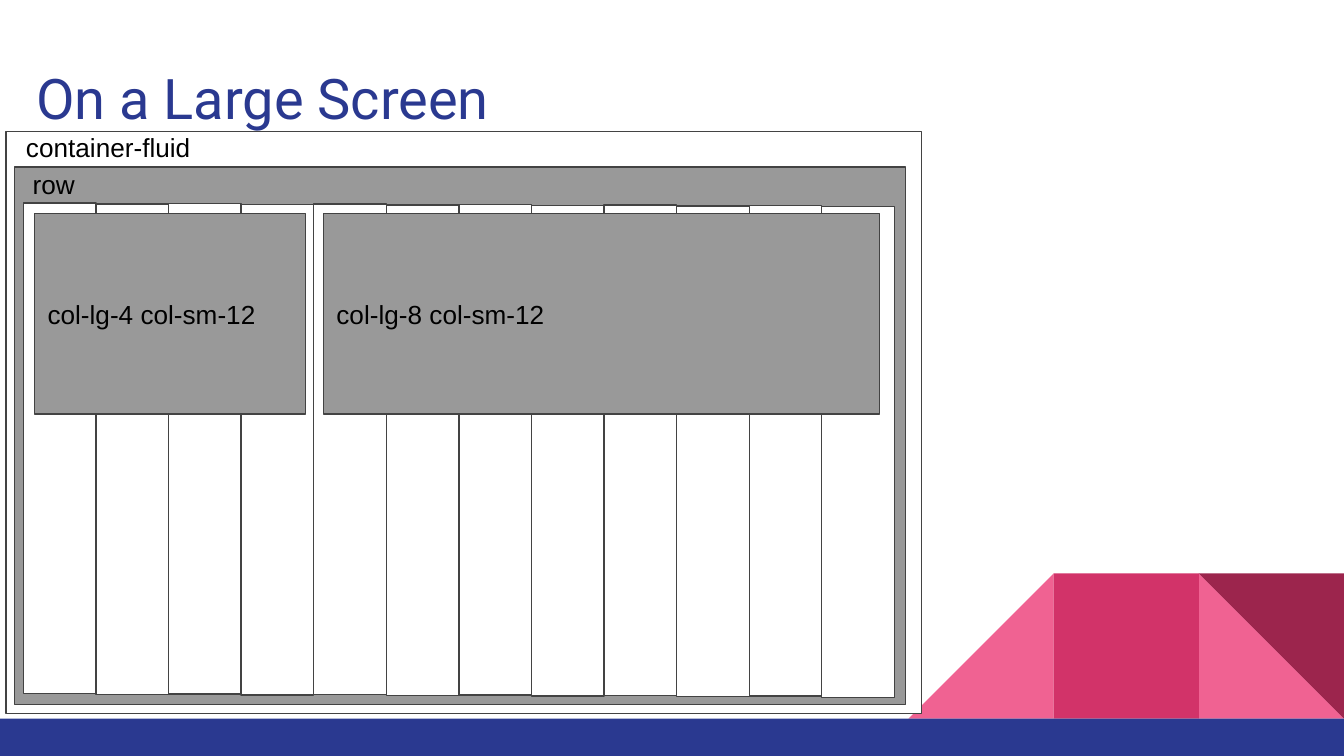
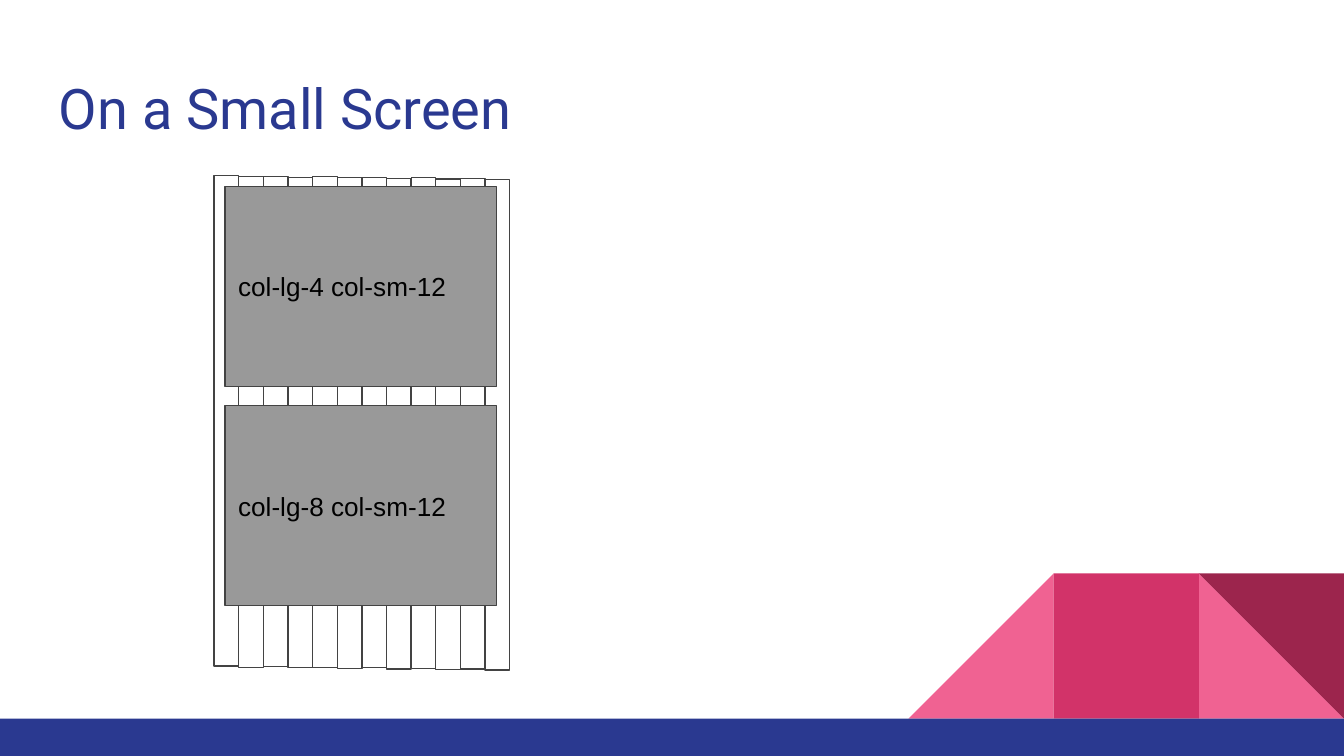
import collections

import pptx
import pptx.dml.color
import pptx.enum.shapes
import pptx.enum.text
import pptx.util

RGB = pptx.dml.color.RGBColor
SHAPE = pptx.enum.shapes.MSO_SHAPE
ANCHOR = pptx.enum.text.MSO_ANCHOR

NAVY = RGB(0x2A, 0x39, 0x90)
PINK = RGB(0xF0, 0x62, 0x92)
ROSE = RGB(0xD2, 0x33, 0x69)
WINE = RGB(0x9C, 0x25, 0x4D)
WHITE = RGB(0xFF, 0xFF, 0xFF)
GREY = RGB(0x99, 0x99, 0x99)
OUTLINE = RGB(0x43, 0x43, 0x43)
BLACK = RGB(0x00, 0x00, 0x00)

# The slide is a square grid of 100 columns by 56.25 rows
CELL = pptx.util.Inches(0.1)
COLUMNS, ROWS = 100, 56.25
BOOTSTRAP_COLUMNS = 12

INSET = CELL
FRAME_FORMAT = {
    "word_wrap": True,
    "margin_left": INSET,
    "margin_right": INSET,
    "margin_top": INSET,
    "margin_bottom": INSET,
}
TITLE_FONT = {"name": "Roboto", "size": pptx.util.Pt(30)}
LABEL_FONT = {"name": "Arial", "size": pptx.util.Pt(14)}


class Box(collections.namedtuple("Box", "left top width height")):
    """An area in grid cells."""

    def inner(self, dx, dy, width, height):
        return Box(self.left + dx, self.top + dy, width, height)

    def emu(self):
        return [round(length * CELL) for length in self]


def apply_format(target, values):
    for attribute, value in values.items():
        setattr(target, attribute, value)


def write(holder, words, font, color, anchor=ANCHOR.TOP):
    frame = holder.text_frame
    apply_format(frame, {**FRAME_FORMAT, "vertical_anchor": anchor})
    paragraph = frame.paragraphs[0]
    paragraph.alignment = pptx.enum.text.PP_ALIGN.LEFT
    run = paragraph.add_run()
    run.text = words
    apply_format(run.font, font)
    run.font.color.rgb = color


def add_text(slide, box, words, font, color):
    write(slide.shapes.add_textbox(*box.emu()), words, font, color)


def add_block(slide, box, fill, kind=SHAPE.RECTANGLE, outlined=True):
    block = slide.shapes.add_shape(kind, *box.emu())
    block.shadow.inherit = False
    block.fill.solid()
    block.fill.fore_color.rgb = fill
    if outlined:
        block.line.color.rgb = OUTLINE
        block.line.width = pptx.util.Pt(0.75)
    else:
        block.line.fill.background()
    return block


def draw_footer(slide, box):
    """Blue band with three squares of triangles standing on its right end."""
    side = 10.8
    left, middle, right = (
        box.inner(box.width - n * side, -side, side, side) for n in (3, 2, 1)
    )
    add_block(slide, right, PINK, SHAPE.RIGHT_TRIANGLE, False)
    slope = add_block(slide, left, PINK, SHAPE.RIGHT_TRIANGLE, False)
    slope.element.spPr.xfrm.set("flipH", "1")
    add_block(slide, middle, ROSE, outlined=False)
    corner = add_block(slide, right, WINE, SHAPE.RIGHT_TRIANGLE, False)
    corner.rotation = 180
    add_block(slide, box, NAVY, outlined=False)


def draw_columns(slide, box):
    """Twelve equal columns, each slightly lower, odd ones a bit more."""
    width = box.width / BOOTSTRAP_COLUMNS
    for n in range(BOOTSTRAP_COLUMNS):
        drift = 0.02 * n + 0.06 * (n % 2)
        add_block(slide, box.inner(n * width, drift, width, box.height), WHITE)


def draw_content(slide, box, words):
    content = add_block(slide, box, GREY)
    write(content, words, LABEL_FONT, BLACK, ANCHOR.MIDDLE)


def start_slide(deck, title, title_box):
    slide = deck.slides.add_slide(deck.slide_layouts[6])
    slide.background.fill.solid()
    slide.background.fill.fore_color.rgb = WHITE
    draw_footer(slide, Box(0, 53.47, COLUMNS, ROWS - 53.47))
    add_text(slide, title_box, title, TITLE_FONT, NAVY)
    return slide


def draw_large_screen(deck, box):
    slide = start_slide(deck, "On a Large Screen", Box(1.7, 3.7, 93.2, 6.6))
    # Nested container and row
    add_block(slide, box, WHITE)
    add_block(slide, box.inner(0.65, 2.64, 66.3, 40), GREY)
    draw_columns(slide, box.inner(1.3, 5.3, 64.8, 36.5))
    # Contents side by side
    draw_content(slide, box.inner(2.1, 6.1, 20.2, 14.9), "col-lg-4 col-sm-12")
    draw_content(slide, box.inner(23.6, 6.1, 41.4, 14.9), "col-lg-8 col-sm-12")
    # Labels of the nested areas
    add_text(slide, box.inner(1, 1.7, 25.2, 2.6), "row", LABEL_FONT, BLACK)
    add_text(slide, box.inner(0.5, -0.9, 18.1, 1.9), "container-fluid",
             LABEL_FONT, BLACK)


def draw_small_screen(deck, box):
    slide = start_slide(deck, "On a Small Screen", Box(3.4, 4.5, 93.2, 6.6))
    draw_columns(slide, box)
    # Contents stacked with an equal step
    for n, words in enumerate(("col-lg-4 col-sm-12", "col-lg-8 col-sm-12")):
        draw_content(slide, box.inner(0.8, 0.8 + 16.3 * n, 20.2, 14.9), words)


def main():
    deck = pptx.Presentation()
    deck.slide_width = COLUMNS * CELL
    deck.slide_height = round(ROWS * CELL)
    draw_large_screen(deck, Box(0.45, 9.8, 68.1, 43.3))
    draw_small_screen(deck, Box(15.93, 13.07, 22, 36.5))
    deck.save("out.pptx")


if __name__ == "__main__":
    main()
